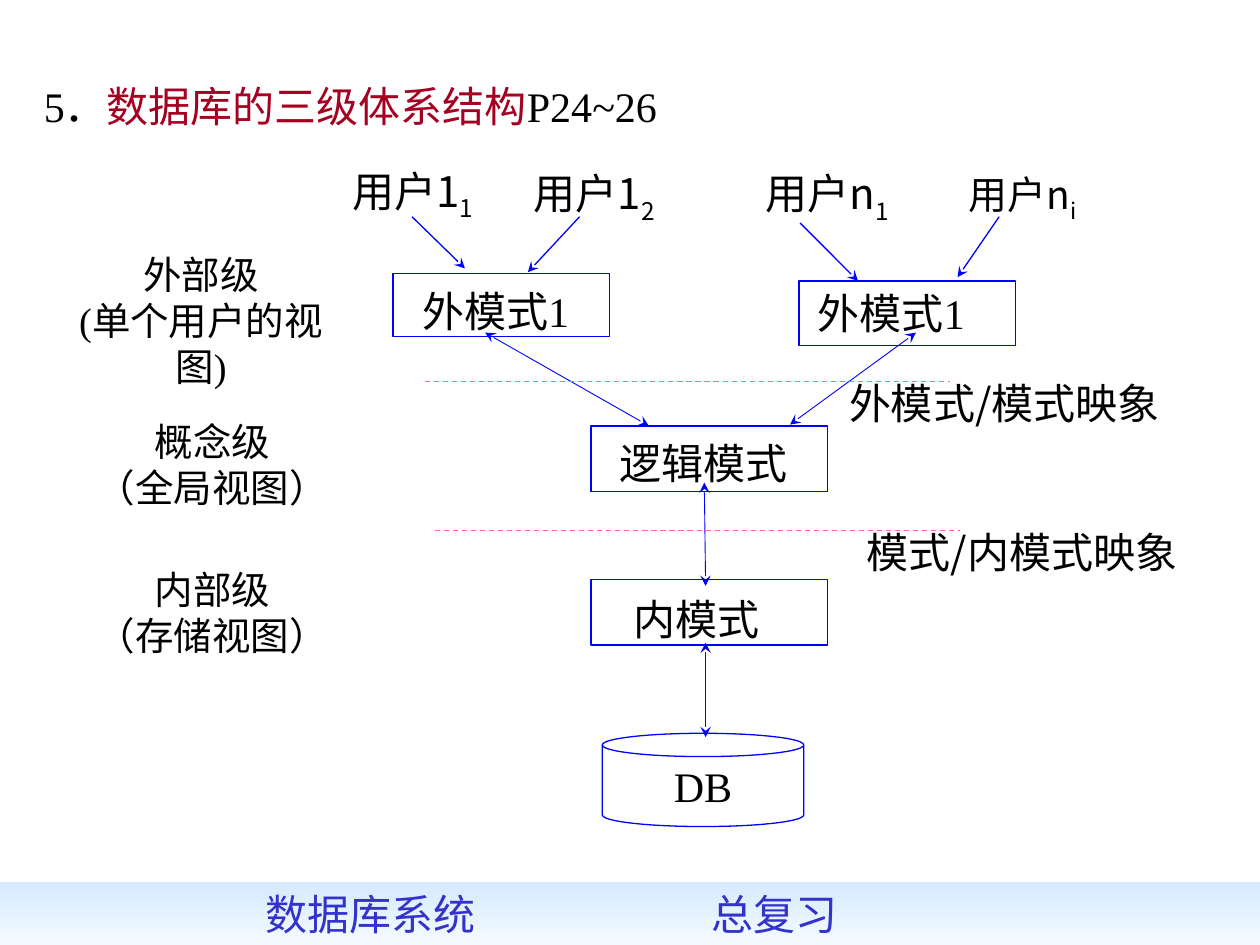
from dataclasses import dataclass
from typing import NamedTuple

from lxml.etree import SubElement
from pptx import Presentation
from pptx.dml.color import RGBColor
from pptx.enum.dml import MSO_LINE
from pptx.enum.shapes import MSO_CONNECTOR, MSO_SHAPE
from pptx.enum.text import MSO_ANCHOR, PP_ALIGN
from pptx.oxml.ns import qn
from pptx.util import Inches, Pt

COLUMNS, ROWS = 100, 75
UNIT = Inches(10) // COLUMNS  # columns and rows are equally long


@dataclass(frozen=True)
class Theme:
    ink: str = "000000"
    accent: str = "A50021"
    line: str = "0000FF"
    divider: str = "FF6699"
    footer_text: str = "3333CC"
    footer_top: str = "D5EBFF"
    footer_bottom: str = "F5FAFF"
    serif: str = "Times New Roman"
    sans: str = "Noto Sans CJK SC"
    body: float = 24
    user: float = 22.2
    caption: float = 22
    thin: float = 0.5
    normal: float = 0.75


THEME = Theme()


class Area(NamedTuple):
    """Left, top, width and height in columns and rows."""
    left: float
    top: float
    width: float
    height: float


class Insets(NamedTuple):
    left: float = 1
    top: float = 0.5
    right: float = 1
    bottom: float = 0.5


class Node(NamedTuple):
    label: str
    area: Area
    insets: Insets


class User(NamedTuple):
    name: str
    subscript: str
    area: Area
    size: float = THEME.body
    spacing: float = 1.0


class Label(NamedTuple):
    lines: tuple[str, ...]
    area: Area
    font: str = THEME.serif
    size: float = THEME.body
    align: PP_ALIGN = PP_ALIGN.LEFT
    insets: Insets = Insets()


class Line(NamedTuple):
    start: tuple[float, float]
    end: tuple[float, float]
    width: float = THEME.normal
    color: str = THEME.line
    heads: tuple[str, ...] = ()
    dashed: bool = False


def level(top: float, height: float, *lines: str, left: float = 5.2) -> Label:
    return Label(lines, Area(left, top, 23.3, height), size=THEME.caption,
                 align=PP_ALIGN.CENTER, insets=Insets(0.2, 0.5, 0.2, 0.5))


def user_arrow(start: tuple[float, float], end: tuple[float, float]) -> Line:
    return Line(start, end, heads=("tailEnd",))


def mapping_arrow(start: tuple[float, float], end: tuple[float, float]) -> Line:
    return Line(start, end, THEME.thin, heads=("headEnd", "tailEnd"))


def divider(left: float, row: float) -> Line:
    return Line((left, row), (left + 41.7, row), color=THEME.divider, dashed=True)


NODES = (
    Node("外模式1", Area(31.2, 21.7, 17.2, 5), Insets(2.3, 1, 0, 0)),
    Node("外模式1", Area(63.4, 22.3, 17.2, 5.1), Insets(1.5, 0.5, 0, 0)),
    Node("逻辑模式", Area(46.9, 33.8, 18.8, 5.2), Insets(2.3, 0.9, 0, 0)),
    Node("内模式", Area(46.9, 46, 18.8, 5.2), Insets(3.4, 1.1, 0, 0)),
)
USERS = (
    User("用户1", "1", Area(26.8, 13.1, 11.9, 5.1)),
    User("用户1", "2", Area(41.2, 13.3, 11.9, 5.1)),
    User("用户n", "1", Area(59.7, 13.3, 11.9, 5.1)),
    User("用户n", "i", Area(75.2, 13.6, 11.9, 4.4), THEME.user, 0.9),
)
LABELS = (
    level(19.4, 12, "外部级", "(单个用户的视图)", left=4.3),
    level(32.7, 8.4, "概念级", "（全局视图）"),
    level(44.4, 8.4, "内部级", "（存储视图）"),
    Label(("外模式/模式映象",), Area(66.4, 29.5, 29, 5), THEME.sans),
    Label(("模式/内模式映象",), Area(67.8, 41.3, 28.1, 8.4), THEME.sans),
)
LINES = (
    user_arrow((32.7, 17.2), (36.9, 21.3)),
    user_arrow((46, 17.2), (41.9, 21.6)),
    user_arrow((63.5, 17.7), (68.1, 22.3)),
    user_arrow((79.3, 17.2), (76, 22)),
    mapping_arrow((38.5, 26.4), (51.5, 33.8)),
    mapping_arrow((72.7, 26.4), (62.7, 33.7)),
    mapping_arrow((55.9, 38.3), (56, 46.5)),
    mapping_arrow((56, 51), (56, 58.5)),
    divider(33.7, 30.3),
    divider(34.5, 42.1),
)


def grid(*values: float) -> list[int]:
    return [round(value * UNIT) for value in values]


def rgb(color: str) -> RGBColor:
    return RGBColor.from_string(color)


def style(paragraph, font: str = THEME.serif, size: float = THEME.body,
          color: str = THEME.ink, align: PP_ALIGN = PP_ALIGN.LEFT) -> None:
    paragraph.alignment = align
    paragraph.font.name = font
    paragraph.font.size = Pt(size)
    paragraph.font.color.rgb = rgb(color)


def set_frame(shape, insets: Insets, anchor: MSO_ANCHOR = MSO_ANCHOR.TOP):
    frame = shape.text_frame
    frame.word_wrap = True
    frame.vertical_anchor = anchor
    (frame.margin_left, frame.margin_top,
     frame.margin_right, frame.margin_bottom) = grid(*insets)
    return frame


def add_text_frame(slide, area: Area, insets: Insets = Insets()):
    return set_frame(slide.shapes.add_textbox(*grid(*area)), insets)


def add_outline(slide, kind: MSO_SHAPE, area: Area):
    shape = slide.shapes.add_shape(kind, *grid(*area))
    shape.shadow.inherit = False
    shape.fill.background()
    shape.line.color.rgb = rgb(THEME.line)
    shape.line.width = Pt(THEME.normal)
    return shape


def add_heading(slide) -> None:
    paragraph = add_text_frame(slide, Area(2.5, 5.9, 97.5, 5)).paragraphs[0]
    style(paragraph)
    for text, color in (("5．", THEME.ink), ("数据库的三级体系结构", THEME.accent),
                        ("P24~26", THEME.ink)):
        run = paragraph.add_run()
        run.text = text
        run.font.color.rgb = rgb(color)


def add_node(slide, node: Node) -> None:
    shape = add_outline(slide, MSO_SHAPE.RECTANGLE, node.area)
    paragraph = set_frame(shape, node.insets).paragraphs[0]
    paragraph.text = node.label
    style(paragraph)


def add_database(slide) -> None:
    shape = add_outline(slide, MSO_SHAPE.CAN, Area(47.8, 58.2, 16, 7.4))
    paragraph = set_frame(shape, Insets(), MSO_ANCHOR.MIDDLE).paragraphs[0]
    paragraph.text = "DB"
    style(paragraph, align=PP_ALIGN.CENTER)


def add_user(slide, user: User) -> None:
    paragraph = add_text_frame(slide, user.area, Insets(0, 0, 0, 0)).paragraphs[0]
    paragraph.line_spacing = user.spacing
    style(paragraph, THEME.sans, user.size, align=PP_ALIGN.CENTER)
    paragraph.add_run().text = user.name
    subscript = paragraph.add_run()
    subscript.text = user.subscript
    subscript._r.get_or_add_rPr().set("baseline", "-25000")


def add_label(slide, label: Label) -> None:
    frame = add_text_frame(slide, label.area, label.insets)
    frame.text = "\n".join(label.lines)
    for paragraph in frame.paragraphs:
        style(paragraph, label.font, label.size, align=label.align)


def add_line(slide, line: Line) -> None:
    connector = slide.shapes.add_connector(
        MSO_CONNECTOR.STRAIGHT, *grid(*line.start, *line.end))
    connector.line.color.rgb = rgb(line.color)
    connector.line.width = Pt(line.width)
    if line.dashed:
        connector.line.dash_style = MSO_LINE.DASH
    for head in line.heads:
        SubElement(connector.line._get_or_add_ln(), qn(f"a:{head}"), type="stealth")
    SubElement(connector._element.spPr, qn("a:effectLst"))


def add_footer(slide) -> None:
    bar = add_outline(slide, MSO_SHAPE.RECTANGLE, Area(0, 70, COLUMNS, ROWS - 70))
    bar.line.fill.background()
    bar.fill.gradient()
    bar.fill.gradient_angle = 270
    for stop, color in zip(bar.fill.gradient_stops,
                           (THEME.footer_top, THEME.footer_bottom)):
        stop.color.rgb = rgb(color)
    paragraph = set_frame(bar, Insets(bottom=0)).paragraphs[0]
    paragraph.text = "\t数据库系统\t总复习"
    tabs = SubElement(paragraph._p.get_or_add_pPr(), qn("a:tabLst"))
    for column in grid(20.1, 55.5):
        SubElement(tabs, qn("a:tab"), pos=str(column), algn="l")
    style(paragraph, color=THEME.footer_text)


def main() -> None:
    presentation = Presentation()
    presentation.slide_width, presentation.slide_height = grid(COLUMNS, ROWS)
    slide = presentation.slides.add_slide(presentation.slide_layouts[6])
    add_heading(slide)
    for draw, items in ((add_node, NODES), (add_user, USERS), (add_label, LABELS)):
        for item in items:
            draw(slide, item)
    add_database(slide)
    for line in LINES:
        add_line(slide, line)
    add_footer(slide)
    presentation.save("out.pptx")


if __name__ == "__main__":
    main()
